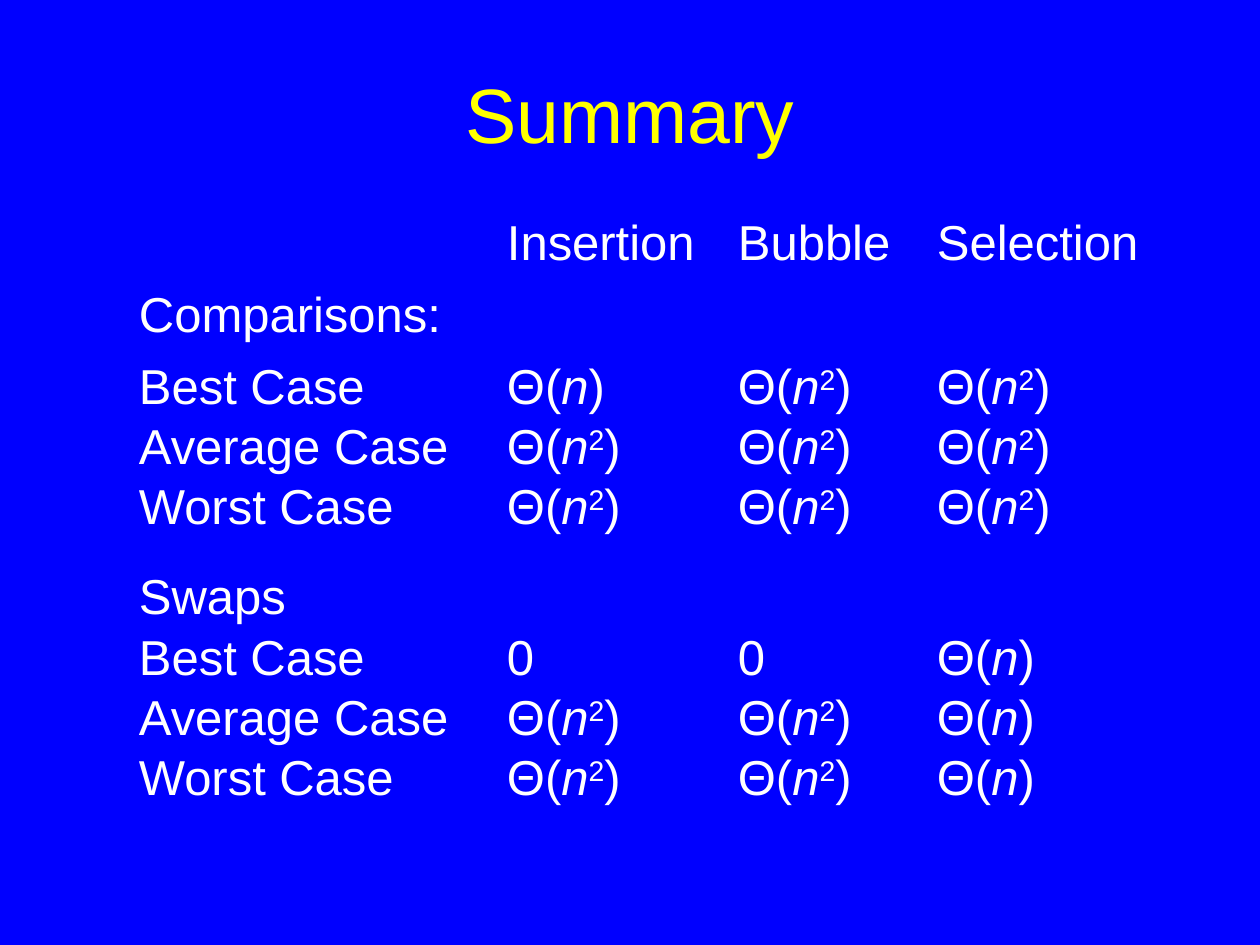
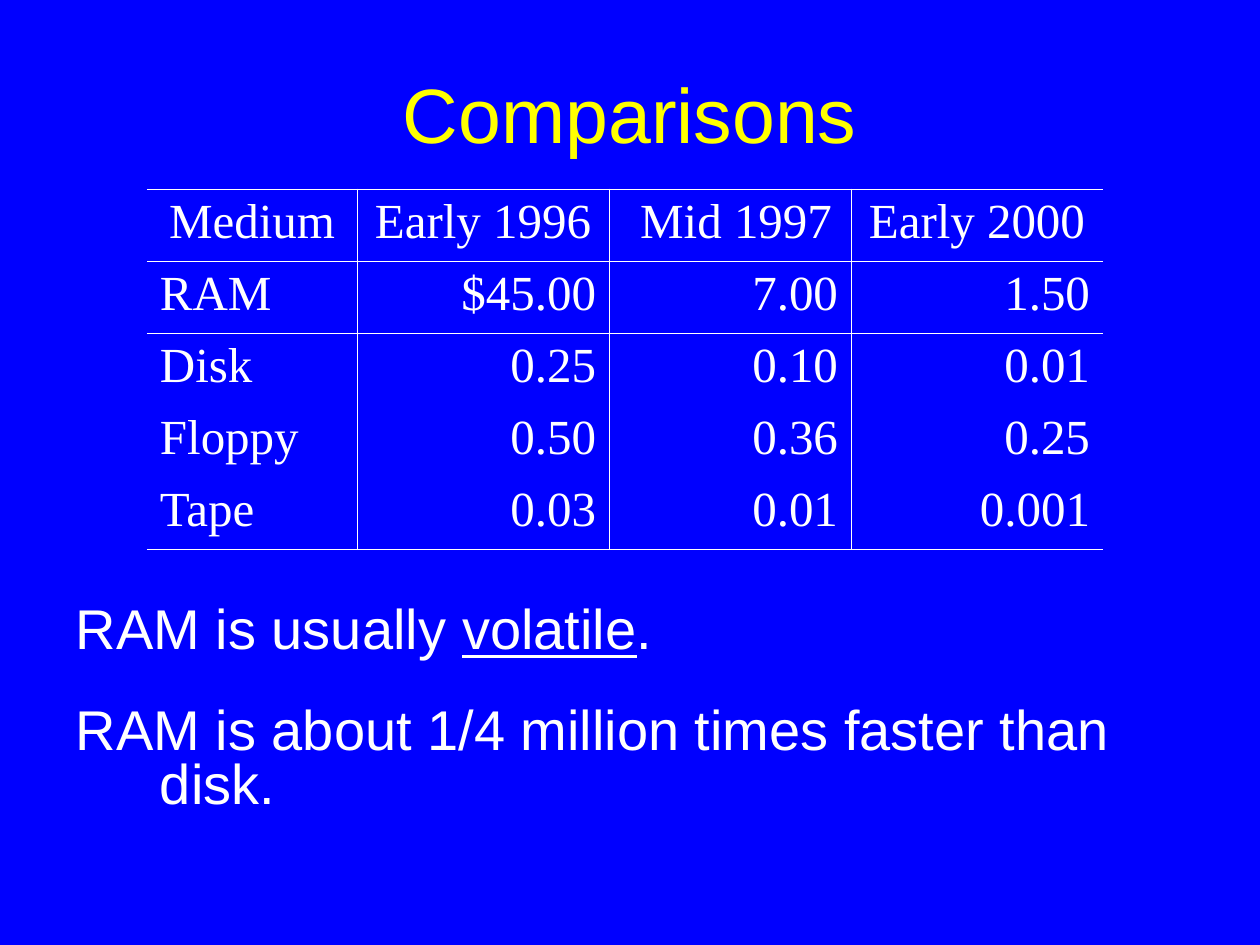
from lxml.etree import SubElement
from pptx import Presentation
from pptx.dml.color import RGBColor
from pptx.enum.text import MSO_ANCHOR, PP_ALIGN
from pptx.oxml.ns import qn
from pptx.util import Pt

EMU_PER_PX = 914400 / 126
BLUE = RGBColor(0x00, 0x00, 0xFF)
YELLOW = RGBColor(0xFF, 0xFF, 0x00)
WHITE = RGBColor(0xFF, 0xFF, 0xFF)
SANS = "Arial"
SERIF = "Times New Roman"
NO_STYLE_NO_GRID = "{2D5ABB26-0587-4C30-8999-92F81FD0307C}"
BORDER_WIDTH = Pt(0.45)

TITLE_BOX = (63, 50, 1134, 126)
INSET_X, INSET_Y = 13, 6
HANGING_INDENT = 84

LINEAR = [("Θ(", {}), ("n", {"italic": True}), (")", {})]
QUADRATIC = LINEAR[:2] + [("2", {"superscript": True})] + LINEAR[2:]
SUMMARY_ROWS = [
    ["", "Insertion", "Bubble", "Selection"],
    ["Comparisons:", "", "", ""],
    ["Best Case", LINEAR, QUADRATIC, QUADRATIC],
    ["Average Case", QUADRATIC, QUADRATIC, QUADRATIC],
    ["Worst Case", QUADRATIC, QUADRATIC, QUADRATIC],
    ["Swaps", "", "", ""],
    ["Best Case", "0", "0", LINEAR],
    ["Average Case", QUADRATIC, QUADRATIC, LINEAR],
    ["Worst Case", QUADRATIC, QUADRATIC, LINEAR],
]
SUMMARY_ROW_HEIGHTS = [72, 72, 60, 60, 60, 91, 60, 60, 60]
SWAPS_ROW = 5
SWAPS_GAP = 30

PRICE_ROWS = [
    ["Medium", "Early 1996", " Mid 1997", "Early 2000"],
    ["RAM", "$45.00", "7.00", "1.50"],
    ["Disk", "0.25", "0.10", "0.01"],
    ["Floppy", "0.50", "0.36", "0.25"],
    ["Tape", "0.03", "0.01", "0.001"],
]


def px(length):
    return round(length * EMU_PER_PX)


def write_text(paragraph, content, size=28, font=SANS, color=WHITE,
               align=PP_ALIGN.LEFT, line_spacing=None, space_before=None):
    """Write a string, or a list of (text, run format) pairs, into a paragraph."""
    paragraph.alignment = align
    if line_spacing:
        paragraph.line_spacing = line_spacing
    if space_before:
        paragraph.space_before = Pt(space_before)
    runs = [(content, {})] if isinstance(content, str) else content
    for text, style in runs:
        run = paragraph.add_run()
        run.text = text
        run.font.size = Pt(size)
        run.font.name = font
        run.font.color.rgb = color
        if style.get("italic"):
            run.font.italic = True
        if style.get("underline"):
            run.font.underline = True
        if style.get("superscript"):
            run._r.get_or_add_rPr().set("baseline", "30000")


def set_margins(holder):
    holder.margin_left = holder.margin_right = px(INSET_X)
    holder.margin_top = holder.margin_bottom = px(INSET_Y)


def add_text_frame(slide, box, anchor=MSO_ANCHOR.TOP):
    text_frame = slide.shapes.add_textbox(*map(px, box)).text_frame
    text_frame.word_wrap = True
    text_frame.vertical_anchor = anchor
    set_margins(text_frame)
    return text_frame


def add_titled_slide(presentation, title):
    slide = presentation.slides.add_slide(presentation.slide_layouts[6])
    text_frame = add_text_frame(slide, TITLE_BOX, MSO_ANCHOR.MIDDLE)
    write_text(text_frame.paragraphs[0], title, size=44, color=YELLOW,
               align=PP_ALIGN.CENTER)
    return slide


def add_plain_table(slide, left, top, column_widths, row_heights):
    """Add a table without style, fill or grid."""
    box = (left, top, sum(column_widths), sum(row_heights))
    table = slide.shapes.add_table(len(row_heights), len(column_widths),
                                   *map(px, box)).table
    table.first_row = table.horz_banding = False
    table._tbl.tblPr.find(qn("a:tableStyleId")).text = NO_STYLE_NO_GRID
    for column, width in zip(table.columns, column_widths):
        column.width = px(width)
    for row, height in zip(table.rows, row_heights):
        row.height = px(height)
    for cell in table.iter_cells():
        set_margins(cell)
    return table


def draw_borders(cell, sides):
    """Draw the named sides, given in the order L, R, T, B."""
    properties = cell._tc.get_or_add_tcPr()
    for side in sides:
        line = SubElement(properties, qn(f"a:ln{side}"), w=str(BORDER_WIDTH))
        fill = SubElement(line, qn("a:solidFill"))
        SubElement(fill, qn("a:srgbClr"), val=str(WHITE))
    cell.fill.background()


def add_summary_table(slide, left, top):
    table = add_plain_table(slide, left, top, [368, 231, 199, 231],
                            SUMMARY_ROW_HEIGHTS)
    for row, contents in enumerate(SUMMARY_ROWS):
        for column, content in enumerate(contents):
            cell = table.cell(row, column)
            cell.fill.background()
            if content:
                write_text(cell.text_frame.paragraphs[0], content,
                           line_spacing=0.8)
    table.cell(SWAPS_ROW, 0).margin_top = px(INSET_Y + SWAPS_GAP)


def add_price_table(slide, left, top):
    table = add_plain_table(slide, left, top, [210, 252, 242, 252],
                            [72] * len(PRICE_ROWS))
    last_row, last_column = len(PRICE_ROWS) - 1, len(PRICE_ROWS[0]) - 1
    for row, contents in enumerate(PRICE_ROWS):
        for column, content in enumerate(contents):
            if row == 0:
                align = PP_ALIGN.CENTER
            else:
                align = PP_ALIGN.RIGHT if column else PP_ALIGN.LEFT
            cell = table.cell(row, column)
            write_text(cell.text_frame.paragraphs[0], content, font=SERIF,
                       align=align)
            shown = {"L": column > 0, "R": column < last_column,
                     "T": row <= 1, "B": row in (0, last_row)}
            draw_borders(cell, [side for side in shown if shown[side]])


def add_memory_remarks(slide, box):
    text_frame = add_text_frame(slide, box)
    volatile = [("RAM is usually ", {}), ("volatile", {"underline": True}),
                (".", {})]
    speed = "RAM is about 1/4 million times faster than disk."
    write_text(text_frame.paragraphs[0], volatile, size=32, line_spacing=0.8)
    write_text(text_frame.add_paragraph(), speed, size=32, line_spacing=0.8,
               space_before=27)
    for paragraph in text_frame.paragraphs:
        properties = paragraph._p.get_or_add_pPr()
        properties.set("marL", str(px(HANGING_INDENT)))
        properties.set("indent", str(-px(HANGING_INDENT)))


def main():
    presentation = Presentation()
    presentation.slide_width = px(1260)
    presentation.slide_height = px(945)
    background = presentation.slide_master.background.fill
    background.solid()
    background.fore_color.rgb = BLUE

    summary = add_titled_slide(presentation, "Summary")
    add_summary_table(summary, 126, 220)

    comparisons = add_titled_slide(presentation, "Comparisons")
    add_memory_remarks(comparisons, (63, 601, 1134, 250))
    add_price_table(comparisons, 147, 189)

    presentation.save("out.pptx")


if __name__ == "__main__":
    main()
